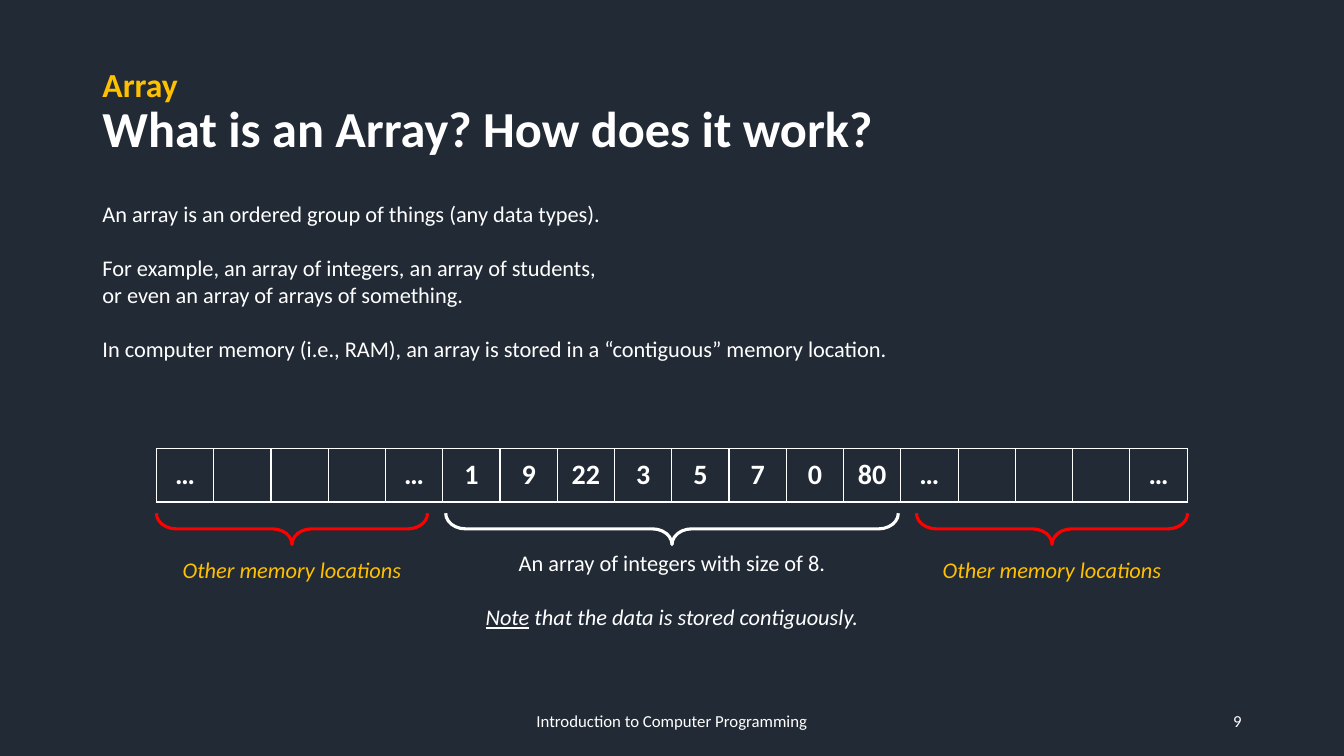
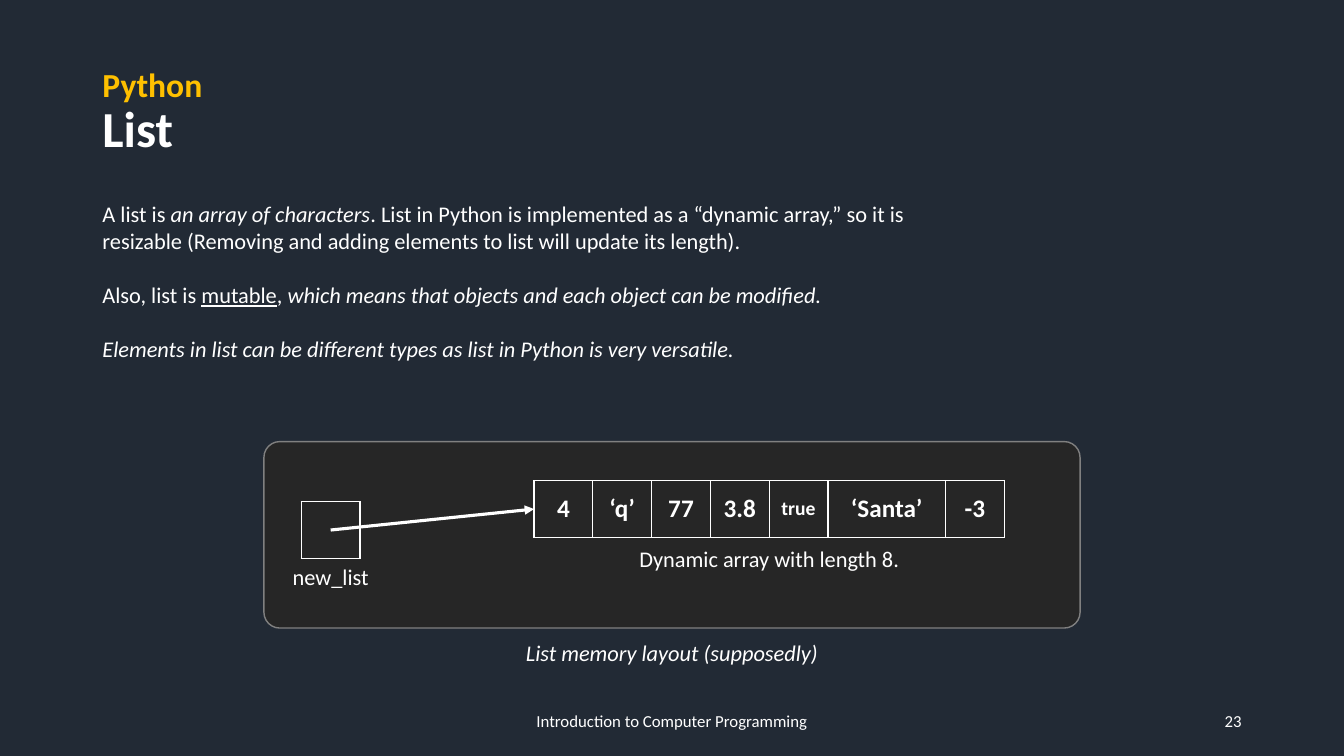
import copy

import lxml.etree
import pptx
import pptx.dml.color
import pptx.enum.dml
import pptx.enum.shapes
import pptx.enum.text
import pptx.oxml.ns
import pptx.util

Pt = pptx.util.Pt
RGBColor = pptx.dml.color.RGBColor
ALIGN = pptx.enum.text.PP_ALIGN
MIDDLE = pptx.enum.text.MSO_ANCHOR.MIDDLE
TOP = pptx.enum.text.MSO_ANCHOR.TOP
SHAPE = pptx.enum.shapes.MSO_SHAPE
qn = pptx.oxml.ns.qn

# Shared look
NAVY = RGBColor(0x22, 0x2A, 0x35)
WHITE = RGBColor(0xFF, 0xFF, 0xFF)
GOLD = RGBColor(0xFF, 0xC0, 0x00)
RED = RGBColor(0xFF, 0x00, 0x00)
CHARCOAL = RGBColor(0x26, 0x26, 0x26)
GREY = RGBColor(0x80, 0x80, 0x80)
FONT = "Calibri"
TEXT_SIZE = 16
PARAGRAPH_GAP = 19.2
WIDTH, HEIGHT = 960, 540
MARGIN = 66
FOOTER = "Introduction to Computer Programming"


# Text
def add_run(p, text, size=TEXT_SIZE, color=WHITE, flags=""):
    """Add text to p; flags holds b, i, u and a newline is a line break."""
    for n, line in enumerate(text.split("\n")):
        if n:
            p.add_line_break()
            p._p[-1].append(copy.deepcopy(r._r.rPr))
        r = p.add_run()
        r.text = line
        r.font.name = FONT
        r.font.size = Pt(size)
        r.font.color.rgb = color
        r.font.bold = "b" in flags
        r.font.italic = "i" in flags
        r.font.underline = "u" in flags


def fill_text(tf, paragraphs, size=TEXT_SIZE, color=WHITE, align=ALIGN.LEFT, anchor=TOP):
    """Each paragraph is a list of (text, flags) runs."""
    tf.word_wrap = True
    tf.auto_size = pptx.enum.text.MSO_AUTO_SIZE.NONE
    tf.vertical_anchor = anchor
    for n, runs in enumerate(paragraphs):
        p = tf.add_paragraph() if n else tf.paragraphs[0]
        p.alignment = align
        p.space_before = Pt(PARAGRAPH_GAP if n else 0)
        for text, flags in runs:
            add_run(p, text, size, color, flags)


def add_label(slide, x, y, w, h, paragraphs, **style):
    sp = slide.shapes.add_textbox(Pt(x), Pt(y), Pt(w), Pt(h))
    fill_text(sp.text_frame, paragraphs, **style)


def add_caption(slide, cx, y, w, paragraphs, h=26.6, **style):
    add_label(slide, cx - w / 2, y, w, h, paragraphs, align=ALIGN.CENTER, **style)


def place(sp, x, y, w, h):
    sp.left, sp.top, sp.width, sp.height = Pt(x), Pt(y), Pt(w), Pt(h)


# Frame common to all slides
def add_slide(prs, topic, heading, number, paragraphs, body_width):
    slide = prs.slides.add_slide(prs.slide_layouts[1])
    title, body = slide.placeholders

    place(title, MARGIN, 28.8, WIDTH - 2 * MARGIN, 104.4)
    fill_text(title.text_frame, [[]], anchor=MIDDLE)
    p = title.text_frame.paragraphs[0]
    p.line_spacing = 0.9
    add_run(p, topic + "\n", 24, GOLD, "b")
    add_run(p, heading, 36, WHITE, "b")

    place(body, MARGIN, 139.7, body_width, 124)
    fill_text(body.text_frame, paragraphs)
    for p in body.text_frame.paragraphs:
        pPr = p._p.get_or_add_pPr()
        pPr.set("marL", "0")
        pPr.set("indent", "0")
        lxml.etree.SubElement(pPr, qn("a:buNone"))

    add_label(slide, 318, 500.5, 324, 28.8, [[(FOOTER, "")]],
              size=12, align=ALIGN.CENTER, anchor=MIDDLE)
    add_label(slide, 678, 500.5, 216, 28.8, [[(number, "")]],
              size=12, align=ALIGN.RIGHT, anchor=MIDDLE)
    return slide


# Diagram parts
def add_cells(slide, x, y, h, values, widths, size):
    """One row of outlined memory cells."""
    frame = slide.shapes.add_table(1, len(values), Pt(x), Pt(y), Pt(sum(widths)), Pt(h))
    table = frame.table
    table.first_row = table.horz_banding = False
    table.rows[0].height = Pt(h)
    for n, (value, width) in enumerate(zip(values, widths)):
        table.columns[n].width = Pt(width)
        cell = table.cell(0, n)
        cell.vertical_anchor = MIDDLE
        tcPr = cell._tc.get_or_add_tcPr()
        for side in ("a:lnL", "a:lnR", "a:lnT", "a:lnB"):
            ln = lxml.etree.SubElement(tcPr, qn(side), w=str(Pt(1)))
            fill = lxml.etree.SubElement(ln, qn("a:solidFill"))
            lxml.etree.SubElement(fill, qn("a:srgbClr"), val=str(WHITE))
        cell.fill.background()
        p = cell.text_frame.paragraphs[0]
        p.alignment = ALIGN.CENTER
        if value:
            add_run(p, value, 14 if value == "true" else size, WHITE, "b")


def add_brace(slide, x, y, w, h, color):
    """Brace lying under the span x to x + w, pointing down."""
    sp = slide.shapes.add_shape(SHAPE.RIGHT_BRACE, Pt(x + (w - h) / 2),
                                Pt(y + (h - w) / 2), Pt(h), Pt(w))
    sp.rotation = 90
    sp.adjustments[0], sp.adjustments[1] = 0.63, 0.5
    sp.shadow.inherit = False
    sp.fill.background()
    sp.line.color.rgb = color
    sp.line.width = Pt(2.25)


def add_arrow(slide, x1, y1, x2, y2):
    line = slide.shapes.add_connector(pptx.enum.shapes.MSO_CONNECTOR.STRAIGHT,
                                      Pt(x1), Pt(y1), Pt(x2), Pt(y2))
    line.line.color.rgb = WHITE
    line.line.width = Pt(2.25)
    lxml.etree.SubElement(line.line._get_or_add_ln(), qn("a:tailEnd"), type="triangle")
    lxml.etree.SubElement(line._element.spPr, qn("a:effectLst"))


def add_memory_row(slide, x, y, w):
    """Memory cells with the array in the middle and a brace under each part."""
    other = ["…", "", "", "", "…"]
    numbers = ["1", "9", "22", "3", "5", "7", "0", "80"]
    values = other + numbers + other
    add_cells(slide, x, y, 38.2, values, [w / len(values)] * len(values), 20)

    cx, brace_y, brace_h = x + w / 2, y + 46.2, 22.3
    array_w, other_w = 323.3, 193.7
    add_brace(slide, cx - array_w / 2, brace_y, array_w, brace_h, WHITE)
    add_caption(slide, cx, y + 68.4, 436, [
        [("An array of integers with size of 8.", "")],
        [("Note", "iu"), (" that the data is stored contiguously.", "i")],
    ], h=65.5)
    for left in (x, x + w - other_w):
        add_brace(slide, left, brace_y, other_w, brace_h, RED)
        add_caption(slide, left + other_w / 2, y + 73, other_w,
                    [[("Other memory locations", "i")]], color=GOLD)


def add_list_panel(slide, x, y, w, h):
    """Panel with a variable cell pointing at its dynamic array."""
    sp = slide.shapes.add_shape(SHAPE.ROUNDED_RECTANGLE, Pt(x), Pt(y), Pt(w), Pt(h))
    sp.adjustments[0] = 0.085
    sp.shadow.inherit = False
    sp.fill.solid()
    sp.fill.fore_color.rgb = CHARCOAL
    sp.line.color.rgb = GREY
    sp.line.width = Pt(1)

    unit, cell_h = 42, 40.4
    array_x, array_y = x + 193, y + 28
    name_x, name_y = x + 26.7, y + 43
    values = ["4", "‘q’", "77", "3.8", "true", "‘Santa’", "-3"]
    widths = [2 * unit if v == "‘Santa’" else unit for v in values]
    add_cells(slide, array_x, array_y, cell_h, values, widths, 18)
    add_cells(slide, name_x, name_y, cell_h, [""], [unit], 18)

    name_cx = name_x + unit / 2
    add_caption(slide, name_cx, name_y + cell_h, 69, [[("new_list", "")]])
    add_caption(slide, array_x + sum(widths) / 2, array_y + cell_h + 2, 250,
                [[("Dynamic array with length 8.", "")]])
    add_arrow(slide, name_cx, name_y + cell_h / 2, array_x, array_y + cell_h / 2)
    add_caption(slide, x + w / 2, y + h + 4.3, 366,
                [[("List memory layout (supposedly)", "i")]])


def main():
    prs = pptx.Presentation()
    prs.slide_width, prs.slide_height = Pt(WIDTH), Pt(HEIGHT)
    background = prs.slide_master.background.fill
    background.solid()
    background.fore_color.rgb = NAVY

    # Array slide
    slide = add_slide(prs, "Array", "What is an Array? How does it work?", "9", [
        [("An array is an ordered group of things (any data types).", "")],
        [("For example, an array of integers, an array of students,\n"
          "or even an array of arrays of something.", "")],
        [("In computer memory (i.e., RAM), an array is stored in a "
          "“contiguous” memory location.", "")],
    ], 640)
    row_w = 736.6
    add_memory_row(slide, (WIDTH - row_w) / 2, 320.4, row_w)

    # List slide
    slide = add_slide(prs, "Python", "List", "23", [
        [("A list is ", ""), ("an array of characters", "i"),
         (". List in Python is implemented as a “dynamic array,” so it is resizable "
          "(Removing and adding elements to list will update its length).", "")],
        [("Also, list is ", ""), ("mutable", "u"), (", ", ""),
         ("which means that objects and each object can be modified.", "i")],
        [("Elements in list can be different types as list in Python is "
          "very versatile.", "i")],
    ], 607.7)
    panel_w = 583
    add_list_panel(slide, (WIDTH - panel_w) / 2, 315.4, panel_w, 133.2)

    prs.save("out.pptx")


if __name__ == "__main__":
    main()
